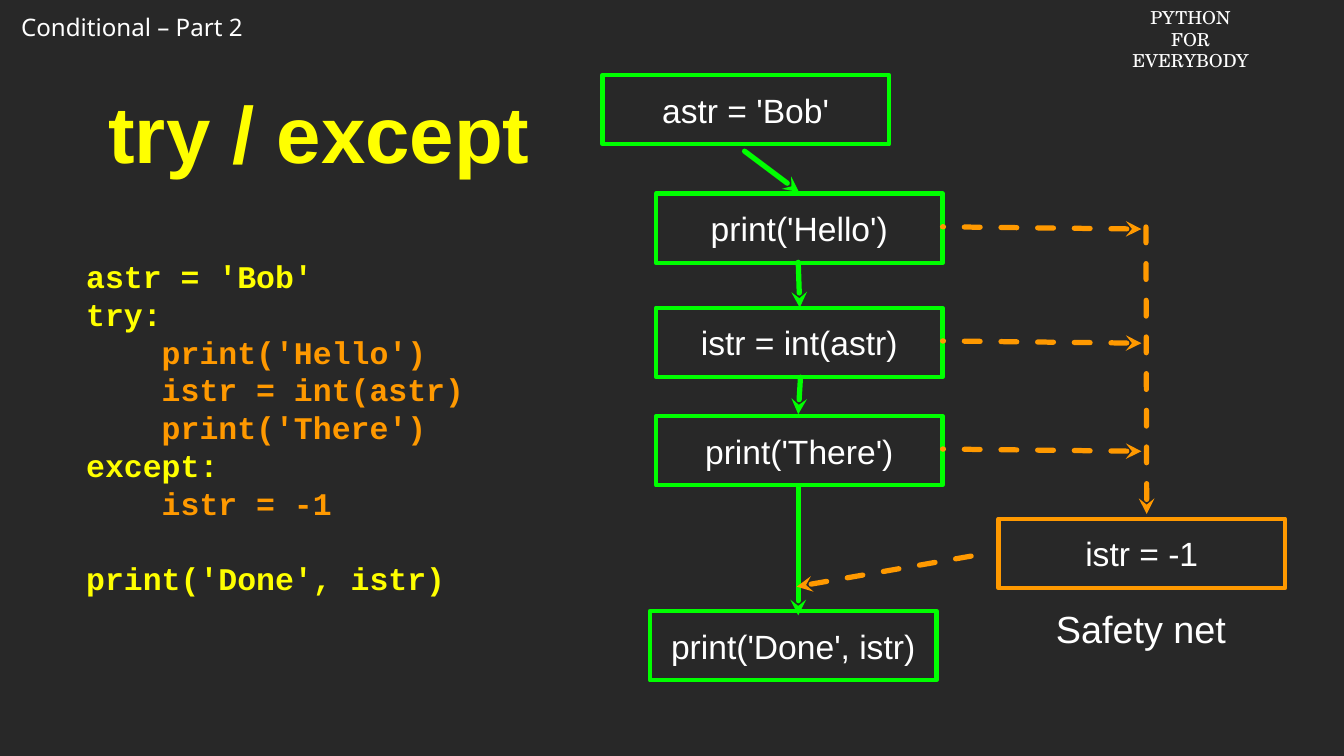
from lxml.etree import SubElement
from pptx import Presentation
from pptx.dml.color import RGBColor as RGB
from pptx.enum.dml import MSO_LINE as Dash
from pptx.enum.shapes import MSO_CONNECTOR as Conn, MSO_SHAPE as Shape
from pptx.enum.text import MSO_ANCHOR as Anchor, PP_ALIGN as Align
from pptx.oxml.ns import qn
from pptx.util import Inches as In, Pt

THEME = {
    "bg": "282828", "text": "FFFFFF", "key": "FFFF00", "flow": "00FF00", "error": "FF9900",
    "header": {"name": "Noto Sans", "size": Pt(23)},
    "course": {"name": "TeX Gyre Schola", "size": Pt(17)},
    "title": {"name": "Arial", "size": Pt(76), "bold": True},
    "code": {"name": "Courier New", "size": Pt(30), "bold": True},
    "step": {"name": "Arial", "size": Pt(32)},
    "label": {"name": "Arial", "size": Pt(36)},
    "border": 4, "arrow": 5, "leading": 36,
}
W, H = 17.78, 10
BOX_W, BOX_H = 3.79, 0.92
COL = 8.68
SPINE = 10.57
RAIL = 15.1

CODE = [
    "astr = 'Bob'",
    "try:",
    "    print('Hello')",
    "    istr = int(astr)",
    "    print('There')",
    "except:",
    "    istr = -1",
    "print('Done', istr)",
]
TRIED = [("print('Hello')", 2.56), ("istr = int(astr)", 4.07), ("print('There')", 5.5)]
STEPS = [("astr = 'Bob'", 7.97, 0.99, "flow")]
STEPS += [(text, COL, y, "flow") for text, y in TRIED]
STEPS += [("print('Done', istr)", 8.6, 8.08, "flow"), ("istr = -1", 13.21, 6.86, "error")]

FLOW = [
    ((SPINE, 2.54), (9.85, 2)),
    ((SPINE + 0.01, 4.07), (SPINE - 0.01, 3.47)),
    ((SPINE - 0.01, 5.48), (SPINE + 0.02, 4.99)),
    ((SPINE - 0.01, 8.14), (SPINE - 0.01, 6.44)),
]
ERRORS = [((RAIL, y + BOX_H / 2 + 0.01), (COL + BOX_W, y + BOX_H / 2 - 0.02)) for _, y in TRIED]
ERRORS += [((15.17, 6.8), (15.16, 2.96)), ((10.54, 7.76), (13.11, 7.31))]

TEXTS = [
    (["Conditional – Part 2"], (0.18, 0.12, 3.28, 0.49), "header", "text",
     {"word_wrap": False}, Align.LEFT),
    (["PYTHON FOR", "EVERYBODY"], (14.88, 0.04, 1.74, 0.67), "course", "text",
     {"word_wrap": True}, Align.CENTER),
    (["try / except"], (0.95, 0.76, 6.54, 1.96), "title", "key",
     {"word_wrap": True, "vertical_anchor": Anchor.MIDDLE}, Align.CENTER),
    (["Safety net"], (13.81, 7.97, 2.57, 0.68), "label", "text",
     {"word_wrap": True, "vertical_anchor": Anchor.MIDDLE}, Align.CENTER),
]
FLUSH = {"margin_left": 0, "margin_right": 0, "margin_top": 0, "margin_bottom": 0,
         "word_wrap": True, "vertical_anchor": Anchor.MIDDLE}


def color(name):
    return RGB.from_string(THEME[name])


def apply(obj, values):
    for key, value in values.items():
        setattr(obj, key, value)


def write(sp, lines, style, colors, frame, align):
    tf = sp.text_frame
    apply(tf, frame)
    for i, (line, ink) in enumerate(zip(lines, colors)):
        p = tf.add_paragraph() if i else tf.paragraphs[0]
        p.alignment = align
        r = p.add_run()
        r.text = line
        apply(r.font, THEME[style])
        r.font.color.rgb = color(ink)
    return tf


def add_text(s, lines, at, style, colors, frame, align):
    sp = s.shapes.add_textbox(*map(In, at))
    return write(sp, lines, style, colors, frame, align)


def add_step(s, text, x, y, ink):
    sp = s.shapes.add_shape(Shape.RECTANGLE, In(x), In(y), In(BOX_W), In(BOX_H))
    sp.shadow.inherit = False
    sp.fill.background()
    sp.line.color.rgb = color(ink)
    sp.line.width = Pt(THEME["border"])
    write(sp, [text], "step", ["text"], FLUSH, Align.CENTER)


def add_arrow(s, tip, tail, ink, dash=None):
    c = s.shapes.add_connector(Conn.STRAIGHT, *map(In, tip + tail))
    c.line.color.rgb = color(ink)
    apply(c.line, {"width": Pt(THEME["arrow"]), "dash_style": dash})
    ln = c.line._get_or_add_ln()
    ln.set("cap", "rnd")
    SubElement(ln, qn("a:round"))
    SubElement(ln, qn("a:headEnd"), type="stealth")
    SubElement(c._element.spPr, qn("a:effectLst"))


def add_code(s):
    inks = ["error" if line.startswith(" ") else "key" for line in CODE]
    tf = add_text(s, CODE, (1.14, 3.05, 5.66, 5.2), "code", inks, FLUSH, Align.LEFT)
    for p in tf.paragraphs:
        p.line_spacing = Pt(THEME["leading"])
    p.space_before = Pt(THEME["leading"])


def main():
    prs = Presentation()
    apply(prs, {"slide_width": In(W), "slide_height": In(H)})
    s = prs.slides.add_slide(prs.slide_layouts[6])
    s.background.fill.solid()
    s.background.fill.fore_color.rgb = color("bg")
    for lines, at, style, ink, frame, align in TEXTS:
        add_text(s, lines, at, style, [ink] * len(lines), frame, align)
    add_code(s)
    for step in STEPS:
        add_step(s, *step)
    for tip, tail in FLOW:
        add_arrow(s, tip, tail, "flow")
    for tip, tail in ERRORS:
        add_arrow(s, tip, tail, "error", Dash.DASH)
    prs.save("out.pptx")


if __name__ == "__main__":
    main()
